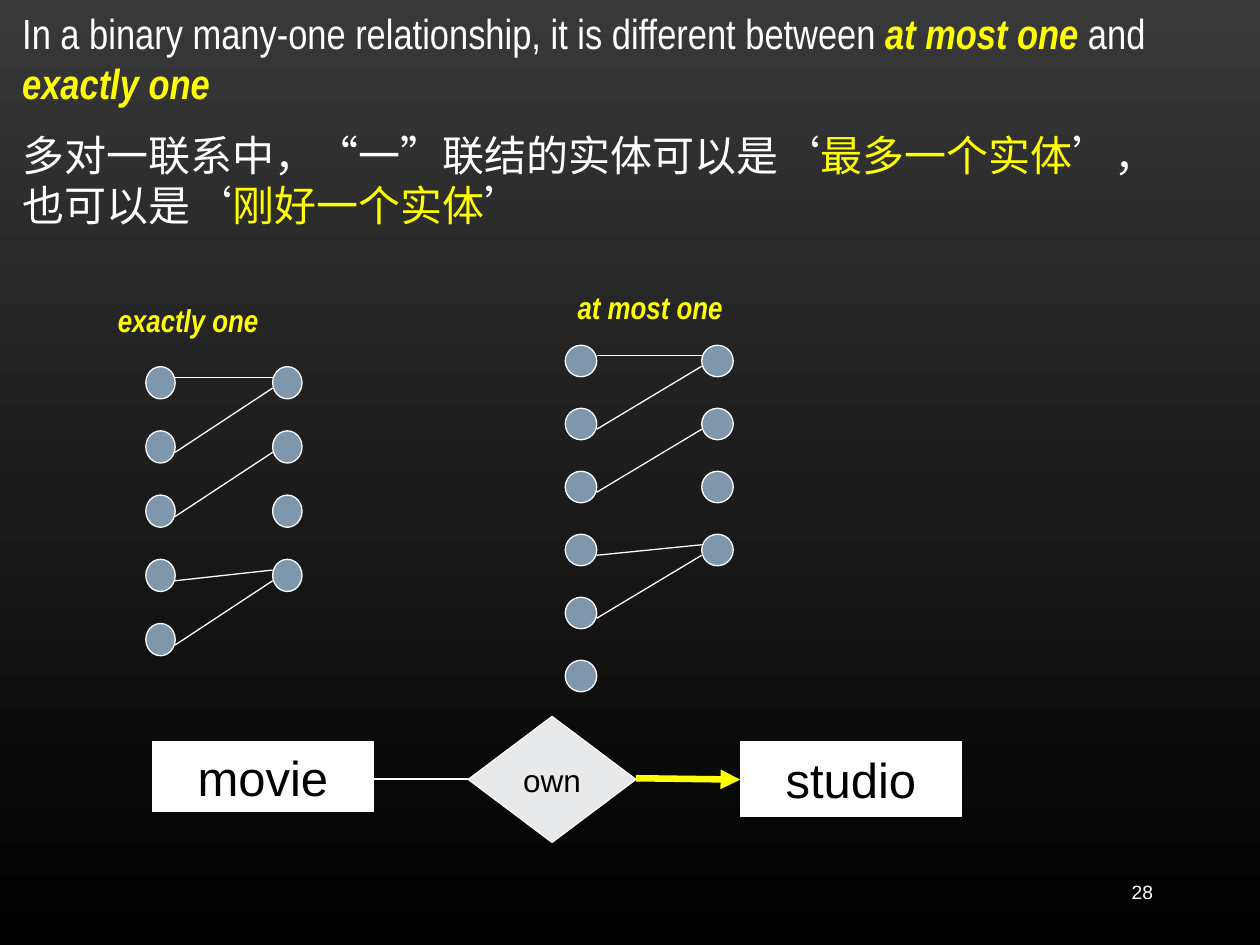
from dataclasses import dataclass

from lxml import etree
from pptx import Presentation
from pptx.dml.color import RGBColor
from pptx.enum.shapes import MSO_CONNECTOR, MSO_SHAPE
from pptx.enum.text import MSO_ANCHOR, MSO_AUTO_SIZE, PP_ALIGN
from pptx.oxml.ns import qn
from pptx.util import Pt

STRAIGHT = MSO_CONNECTOR.STRAIGHT
OVAL, RECTANGLE, DIAMOND = MSO_SHAPE.OVAL, MSO_SHAPE.RECTANGLE, MSO_SHAPE.DIAMOND
TOP, MIDDLE = MSO_ANCHOR.TOP, MSO_ANCHOR.MIDDLE
LEFT, CENTER, RIGHT = PP_ALIGN.LEFT, PP_ALIGN.CENTER, PP_ALIGN.RIGHT
FIT_SHAPE = MSO_AUTO_SIZE.SHAPE_TO_FIT_TEXT


@dataclass(frozen=True)
class Theme:
    white: str = "FFFFFF"
    black: str = "000000"
    yellow: str = "FFFF00"
    node: str = "7E97AD"
    diamond: str = "E7E9EA"
    sky: str = "383838"
    narrow: str = "Arial Narrow"
    plain: str = "Arial"
    heading: int = 24
    entity: int = 28
    label: int = 18
    number: int = 11
    thin: float = 0.75
    thick: float = 3.75


THEME = Theme()

NORMAL = (THEME.white, False)
STRONG = (THEME.yellow, True)
MARKED = (THEME.yellow, False)

HEADING = [
    [("In a binary many-one relationship, it is different between ", NORMAL),
     ("at most one ", STRONG), ("and ", NORMAL), ("exactly one", STRONG)],
    [("多对一联系中，“一”联结的实体可以是‘", NORMAL), ("最多一个实体", MARKED),
     ("’，也可以是‘", NORMAL), ("刚好一个实体", MARKED), ("’", NORMAL)],
]

MAPPINGS = [
    {"label": "exactly one", "label_box": (60.2, 168.5, 206.4, 28.8),
     "columns": (83.3, 155.8), "top": 209.5, "node": (16.8, 18.4),
     "step": 36.7, "counts": (5, 4)},
    {"label": "at most one", "label_box": (323, 161.3, 114.5, 28.8),
     "columns": (323, 401), "top": 197.3, "node": (18, 18),
     "step": 36, "counts": (6, 4)},
]

UPPER, LOWER = 1 / 3, 2 / 3
LINKS = [
    (0, UPPER, 0, UPPER),
    (1, LOWER, 0, LOWER),
    (2, LOWER, 1, LOWER),
    (3, LOWER, 3, UPPER),
    (4, LOWER, 3, LOWER),
]

DIAGRAM = [
    ("movie", RECTANGLE, (87, 423.8, 126.4, 39.8), THEME.white, THEME.entity),
    ("own", DIAMOND, (267.6, 409.4, 95.8, 72), THEME.diamond, THEME.label),
    ("studio", RECTANGLE, (423, 423.8, 126.4, 42.8), THEME.white, THEME.entity),
]
OWNER_LINE = (267.6, 445.2, 213.4, 445.2)
OWNED_ARROW = (363.4, 444.7, 423, 445.5)


def color(value):
    return RGBColor.from_string(value)


def add_span(para, text, style, font, size):
    span = para.add_run()
    span.text = text
    span.font.name = font
    span.font.size = Pt(size)
    span.font.color.rgb = color(style[0])
    span.font.bold = span.font.italic = style[1]


def add_text(page, area, paras, font, size, align=LEFT, anchor=TOP, gap=0):
    frame = page.shapes.add_textbox(*map(Pt, area)).text_frame
    frame.word_wrap = True
    frame.vertical_anchor = anchor
    if anchor == TOP:
        frame.auto_size = FIT_SHAPE
    for index, spans in enumerate(paras):
        para = frame.add_paragraph() if index else frame.paragraphs[0]
        para.alignment = align
        para.space_before = Pt(gap if index else 0)
        para.space_after = Pt(gap)
        for text, style in spans:
            add_span(para, text, style, font, size)


def add_shape(shapes, kind, area, fill):
    shape = shapes.add_shape(kind, *map(Pt, area))
    shape.shadow.inherit = False
    shape.fill.solid()
    shape.fill.fore_color.rgb = color(fill)
    shape.line.color.rgb = color(THEME.white)
    shape.line.width = Pt(THEME.thin)
    return shape


def add_line(shapes, ends, stroke=THEME.white, width=THEME.thin, arrow=False):
    line = shapes.add_connector(STRAIGHT, *map(Pt, ends))
    line.line.color.rgb = color(stroke)
    line.line.width = Pt(width)
    if arrow:
        etree.SubElement(line.line._get_or_add_ln(), qn("a:tailEnd"), type="triangle")
    etree.SubElement(line._element.spPr, qn("a:effectLst"))


def add_mapping(page, mapping):
    shapes = page.shapes.add_group_shape().shapes
    width, height = mapping["node"]
    top, step = mapping["top"], mapping["step"]
    for left, count in zip(mapping["columns"], mapping["counts"]):
        for row in range(count):
            add_shape(shapes, OVAL, (left, top + row * step, width, height), THEME.node)
    start, end = mapping["columns"][0] + width, mapping["columns"][1]
    for source, source_part, target, target_part in LINKS:
        add_line(shapes, (start, top + source * step + source_part * height,
                          end, top + target * step + target_part * height))
    add_text(page, mapping["label_box"], [[(mapping["label"], STRONG)]],
             THEME.narrow, THEME.label)


def add_diagram(page):
    add_line(page.shapes, OWNED_ARROW, THEME.yellow, THEME.thick, arrow=True)
    add_line(page.shapes, OWNER_LINE)
    for text, kind, area, fill, size in DIAGRAM:
        box = add_shape(page.shapes, kind, area, fill)
        frame = box.text_frame
        frame.word_wrap = False
        frame.vertical_anchor = MIDDLE
        para = frame.paragraphs[0]
        para.alignment = CENTER
        add_span(para, text, (THEME.black, False), THEME.plain, size)


def set_background(page):
    fill = page.background.fill
    fill.gradient()
    fill.gradient_angle = 270
    for stop, position, shade in zip(fill.gradient_stops, (0, 1), (THEME.sky, THEME.black)):
        stop.position = position
        stop.color.rgb = color(shade)


def main():
    deck = Presentation()
    deck.slide_width, deck.slide_height = Pt(720), Pt(540)
    page = deck.slides.add_slide(deck.slide_layouts[6])
    set_background(page)
    add_text(page, (5.6, 0.7, 676.8, 134.6), HEADING, THEME.narrow, THEME.heading, gap=6)
    add_text(page, (516.2, 491.8, 149.8, 36), [[("28", NORMAL)]],
             THEME.plain, THEME.number, RIGHT, MIDDLE)
    add_diagram(page)
    for mapping in MAPPINGS:
        add_mapping(page, mapping)
    deck.save("out.pptx")


if __name__ == "__main__":
    main()
